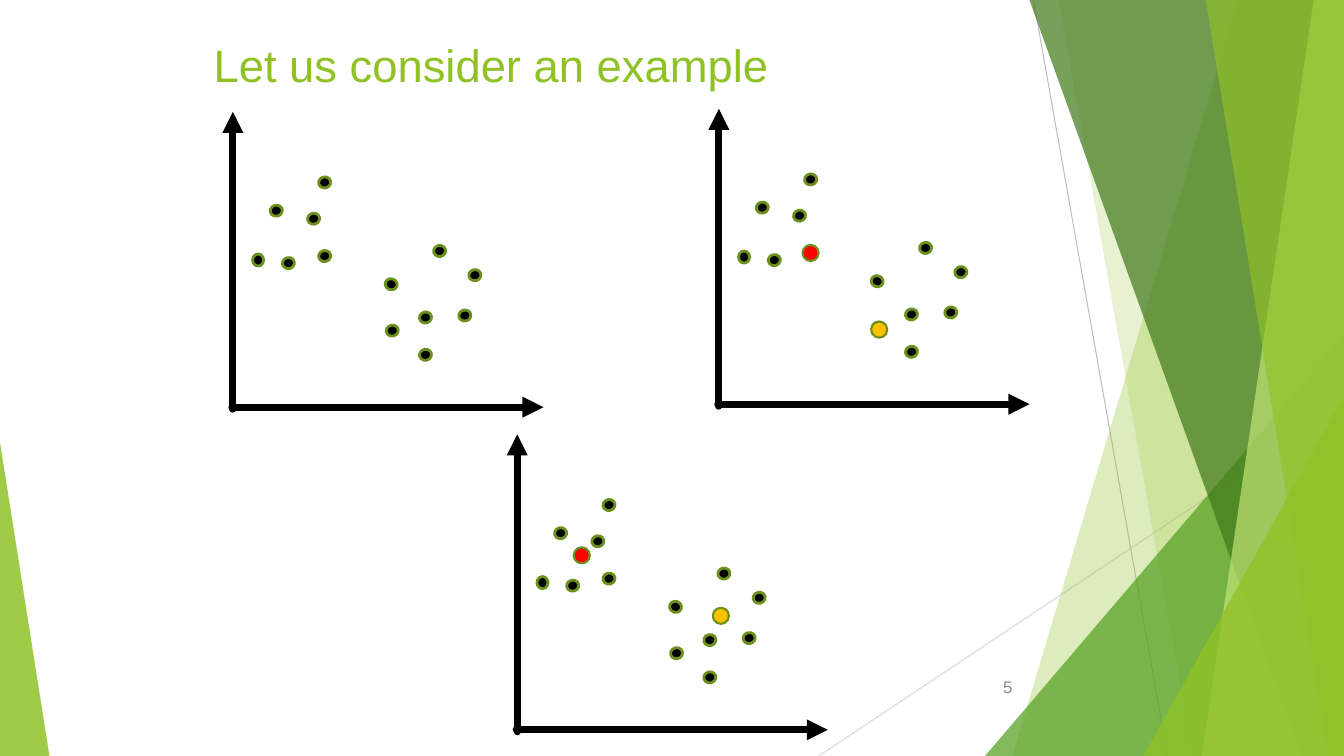
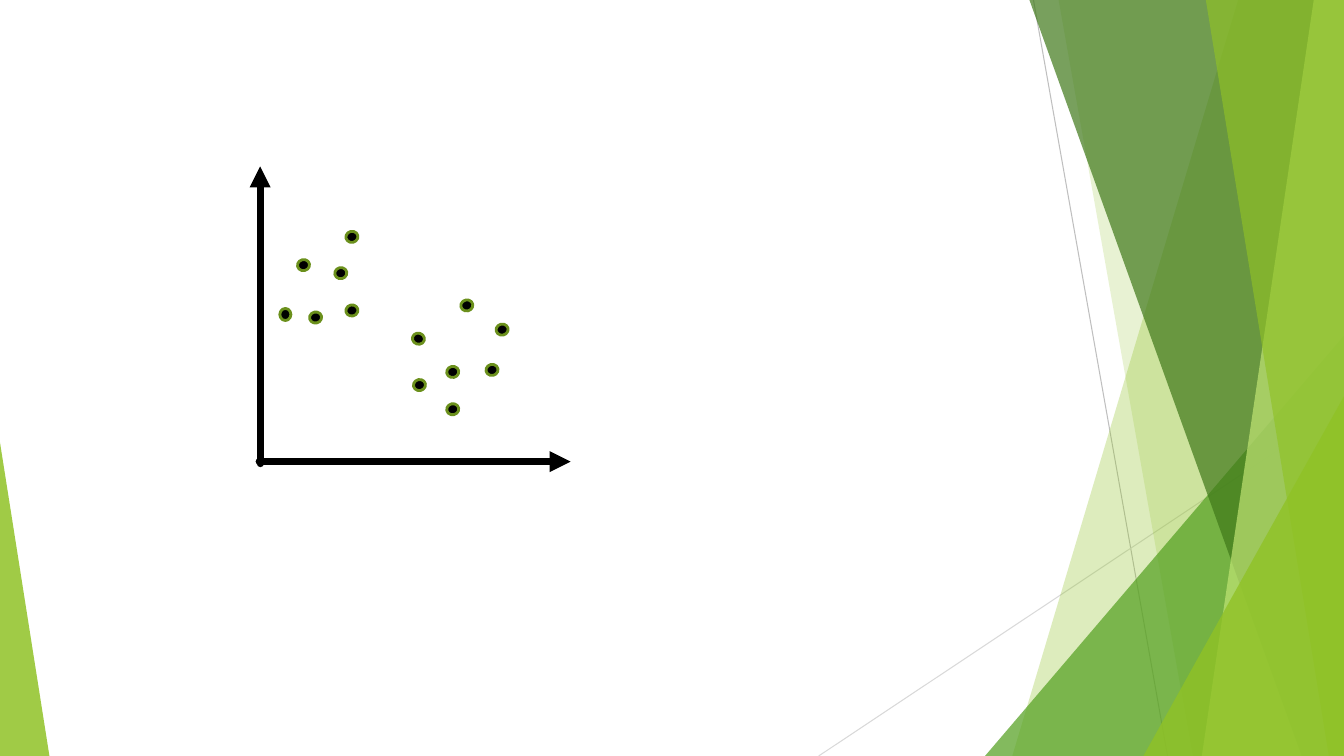
import lxml.etree
import pptx
import pptx.dml.color
import pptx.enum.shapes
import pptx.enum.text
import pptx.oxml.ns
import pptx.util

Inches = pptx.util.Inches
Pt = pptx.util.Pt
qn = pptx.oxml.ns.qn
SHAPES = pptx.enum.shapes.MSO_SHAPE
ALIGN = pptx.enum.text.PP_ALIGN
ANCHOR = pptx.enum.text.MSO_ANCHOR

WIDTH, HEIGHT = 13.33, 7.5
FONT = "Arial"
COLORS = {
    "lime": "90C226", "green": "54A021", "forest": "3F7819", "pale": "C0E474",
    "olive": "6B901C", "black": "000000", "red": "FF0000", "amber": "FFC000",
    "gray": "898989", "line": "BFBFBF", "faint": "D9D9D9",
}

# Point centres, measured from the tip of the vertical axis: x, y, rotation
TILT = 77.4
POINTS = [
    (2.3, 2.02, TILT), (0.8, 1.06, TILT), (2.05, 1.38, TILT), (0.43, 0.98, TILT),
    (0.55, 1.5, TILT), (2.4, 1.62, TILT), (1.91, 2.41, TILT), (0.25, 1.47, 0),
    (1.57, 1.71, 108.5), (1.91, 2.04, TILT), (1.58, 2.17, TILT),
    (0.91, 1.43, TILT), (0.91, 0.7, TILT),
]


def rgb(name):
    return pptx.dml.color.RGBColor.from_string(COLORS[name])


def paint(shape, color, opacity=100):
    """Plain fill without outline or shadow."""
    shape.shadow.inherit = False
    shape.fill.solid()
    shape.fill.fore_color.rgb = rgb(color)
    shape.line.fill.background()
    if opacity < 100:
        tint = shape.element.spPr.find(qn("a:solidFill")).find(qn("a:srgbClr"))
        lxml.etree.SubElement(tint, qn("a:alpha"), val=str(opacity * 1000))


def add_line(page, start, end, color, weight, arrow=False):
    line = page.shapes.add_connector(
        pptx.enum.shapes.MSO_CONNECTOR.STRAIGHT,
        *(Inches(value) for value in (*start, *end)))
    line.line.color.rgb = rgb(color)
    line.line.width = Pt(weight)
    properties = line.element.spPr
    if arrow:
        outline = properties.find(qn("a:ln"))
        outline.set("cap", "rnd")
        lxml.etree.SubElement(outline, qn("a:tailEnd"), type="triangle")
    lxml.etree.SubElement(properties, qn("a:effectLst"))


def add_band(page, top_x, bottom_x, color, opacity):
    """Band from a slanted left edge to the right edge of the slide."""
    builder = page.shapes.build_freeform(Inches(top_x), 0)
    builder.add_line_segments(
        [(Inches(WIDTH), 0), (Inches(WIDTH), Inches(HEIGHT)),
         (Inches(bottom_x), Inches(HEIGHT))], close=True)
    paint(builder.convert_to_shape(), color, opacity)


def add_corner(page, left, top, width, apex, color, opacity):
    """Triangle standing on the bottom edge of the slide."""
    corner = page.shapes.add_shape(
        SHAPES.ISOSCELES_TRIANGLE, Inches(left), Inches(top),
        Inches(width), Inches(HEIGHT - top))
    corner.adjustments[0] = apex
    paint(corner, color, opacity)


def add_backdrop(page):
    add_line(page, (10.25, 0), (11.58, HEIGHT), "line", 0.75)
    add_line(page, (WIDTH, 4.03), (8.12, HEIGHT), "faint", 0.75)
    add_band(page, 12.28, 10.04, "lime", 30)
    add_band(page, 10.5, 11.83, "lime", 20)
    add_corner(page, 9.77, 3.33, 3.56, 1, "green", 72)
    add_band(page, 10.21, 12.91, "forest", 70)
    add_band(page, 13.03, 11.92, "pale", 70)
    add_band(page, 11.96, 13.18, "lime", 65)
    add_corner(page, 11.34, 3.93, 1.99, 1, "lime", 80)
    add_corner(page, 0, 4.39, 0.49, 0, "lime", 85)


def add_text(page, box, text, size, color, align, anchor):
    frame = page.shapes.add_textbox(*(Inches(value) for value in box)).text_frame
    frame.word_wrap = True
    frame.vertical_anchor = anchor
    frame.text = text
    para = frame.paragraphs[0]
    para.alignment = align
    span = para.runs[0]
    span.font.name = FONT
    span.font.size = Pt(size)
    span.font.color.rgb = rgb(color)


def add_title(page, text):
    add_text(page, (2.02, 0.32, 8.96, 0.72), text, 32.4, "lime",
             ALIGN.LEFT, ANCHOR.TOP)


def add_page_number(page, number):
    add_text(page, (9.39, 6.61, 0.75, 0.4), str(number), 12, "gray",
             ALIGN.RIGHT, ANCHOR.MIDDLE)


def add_dot(page, center, size, color, weight, rotation=0):
    (x, y), (width, height) = center, size
    dot = page.shapes.add_shape(
        SHAPES.OVAL, Inches(x - width / 2), Inches(y - height / 2),
        Inches(width), Inches(height))
    paint(dot, color)
    dot.line.color.rgb = rgb("olive")
    dot.line.width = Pt(weight)
    dot.rotation = rotation


def add_scatter(page, left, top, centroids=()):
    """Two axes, the data points and the optional (x, y, color) centroids."""
    add_line(page, (left, top + 2.95), (left, top), "black", 5, arrow=True)
    add_line(page, (left - 0.01, top + 2.93), (left + 3.08, top + 2.93),
             "black", 5, arrow=True)
    for x, y, rotation in POINTS:
        add_dot(page, (left + x, top + y), (0.11, 0.12), "black", 2, rotation)
    for x, y, color in centroids:
        add_dot(page, (left + x, top + y), (0.16, 0.16), color, 1.5)


def add_page(deck):
    page = deck.slides.add_slide(deck.slide_layouts[6])
    add_backdrop(page)
    return page


def build_example(deck):
    page = add_page(deck)
    add_title(page, "Let us consider an example")
    add_page_number(page, 5)
    add_scatter(page, 2.31, 1.11)
    add_scatter(page, 7.13, 1.08, [(0.91, 1.43, "red"), (1.59, 2.19, "amber")])
    add_scatter(page, 5.13, 4.31, [(0.64, 1.2, "red"), (2.02, 1.8, "amber")])


def build_points(deck):
    add_scatter(add_page(deck), 2.58, 1.65)


def main():
    deck = pptx.Presentation()
    deck.slide_width = Inches(WIDTH)
    deck.slide_height = Inches(HEIGHT)
    build_example(deck)
    build_points(deck)
    deck.save("out.pptx")


if __name__ == "__main__":
    main()
